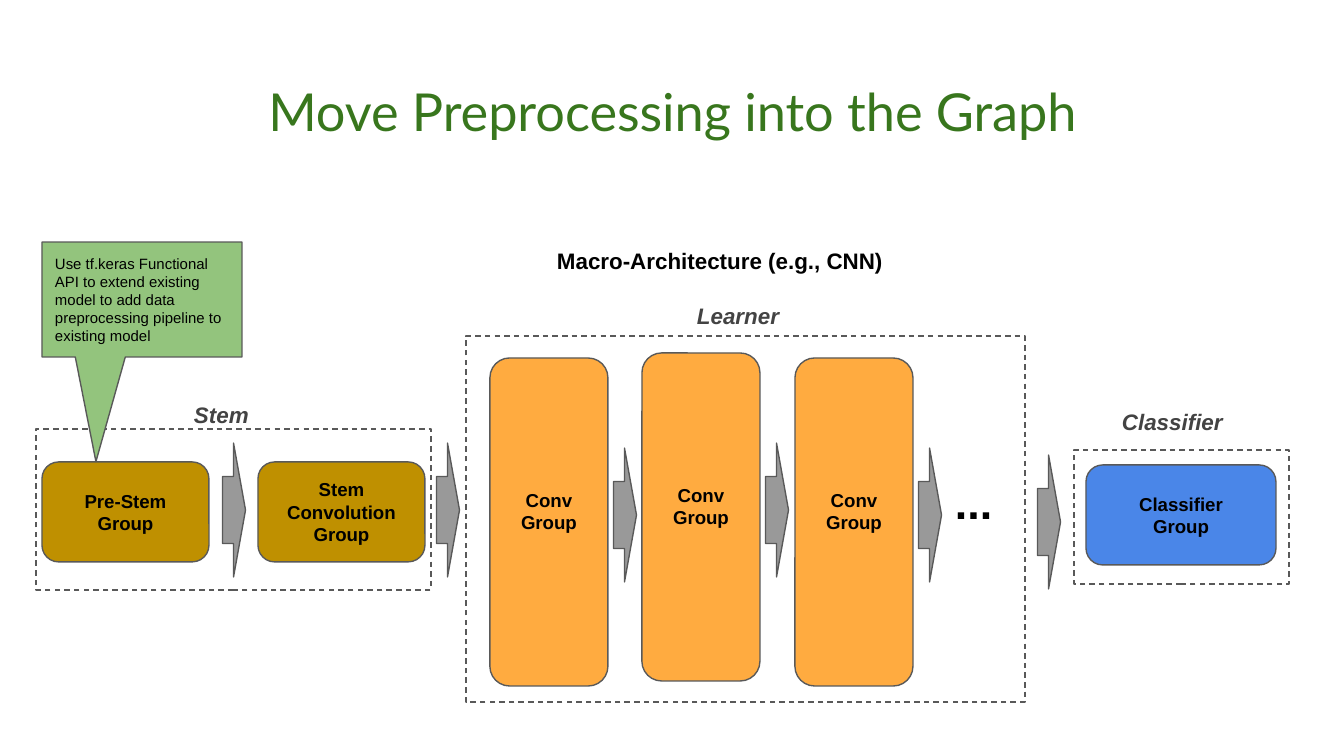
from pptx import Presentation
from pptx.dml.color import RGBColor
from pptx.enum.dml import MSO_LINE
from pptx.enum.shapes import MSO_SHAPE as Shape
from pptx.enum.text import MSO_ANCHOR as Anchor, PP_ALIGN as Align
from pptx.util import Emu, Pt

PX_PER_INCH = 134.4
INSET = 13

BLACK = RGBColor(0x00, 0x00, 0x00)
GRAY = RGBColor(0x43, 0x43, 0x43)
OUTLINE = RGBColor(0x59, 0x59, 0x59)
ARROW_GRAY = RGBColor(0x99, 0x99, 0x99)
TITLE_GREEN = RGBColor(0x38, 0x76, 0x1D)
NOTE_GREEN = RGBColor(0x93, 0xC4, 0x7D)
BROWN = RGBColor(0xBF, 0x90, 0x00)
ORANGE = RGBColor(0xFF, 0xAB, 0x40)
BLUE = RGBColor(0x4A, 0x86, 0xE8)


def px(length):
    return Emu(round(length * 914400 / PX_PER_INCH))


def write(shape, text, size, color=BLACK, bold=True, italic=False,
          align=Align.LEFT, anchor=Anchor.TOP, font="Arial", bottom=INSET):
    frame = shape.text_frame
    frame.word_wrap = True
    frame.vertical_anchor = anchor
    frame.margin_left = frame.margin_right = frame.margin_top = px(INSET)
    frame.margin_bottom = px(bottom)
    frame.text = text
    for paragraph in frame.paragraphs:
        paragraph.alignment = align
        for run in paragraph.runs:
            run.font.name = font
            run.font.size = Pt(size)
            run.font.bold = bold
            run.font.italic = italic
            run.font.color.rgb = color


def add_text(slide, box, text, size, **style):
    write(slide.shapes.add_textbox(*map(px, box)), text, size, **style)


def add_label(slide, box, text):
    add_text(slide, box, text, 12, color=GRAY, italic=True)


def add_outlined(slide, kind, box, fill=None):
    shape = slide.shapes.add_shape(kind, *map(px, box))
    shape.shadow.inherit = False
    shape.line.color.rgb = OUTLINE
    shape.line.width = Pt(0.75)
    if fill is None:
        shape.fill.background()
    else:
        shape.fill.solid()
        shape.fill.fore_color.rgb = fill
    return shape


def add_frame(slide, box):
    add_outlined(slide, Shape.RECTANGLE, box).line.dash_style = MSO_LINE.DASH


def add_group(slide, box, text, fill, bottom=INSET):
    shape = add_outlined(slide, Shape.ROUNDED_RECTANGLE, box, fill)
    write(shape, text, 10, align=Align.CENTER, anchor=Anchor.MIDDLE, bottom=bottom)


def add_arrow(slide, center_x, center_y):
    length, thickness = 134, 23
    box = (center_x - length / 2, center_y - thickness / 2, length, thickness)
    arrow = add_outlined(slide, Shape.DOWN_ARROW, box, ARROW_GRAY)
    arrow.adjustments[1] = 0.52
    arrow.rotation = 270


def add_heading(slide, left, top, width, height):
    add_text(slide, (left, top, width, height), "Move Preprocessing into the Graph", 28,
             color=TITLE_GREEN, bold=False, align=Align.CENTER, font="Lato")


def add_stem(slide, left, top, width, height):
    add_frame(slide, (left, top, width, height))
    add_label(slide, (left + 145, top - 41, 105, 55), "Stem")
    group_width, gap = 167, 49
    for index, text in enumerate(("Pre-Stem\vGroup", "Stem\vConvolution Group")):
        group_left = left + 6 + index * (group_width + gap)
        add_group(slide, (group_left, top + 33, group_width, 100), text, BROWN)
    for arrow_x in (198, 412):
        add_arrow(slide, left + arrow_x, top + 81)


def add_learner(slide, left, top, width, height):
    add_frame(slide, (left, top, width, height))
    add_label(slide, (left + 218, top - 47, 125, 55), "Learner")
    groups = (("Conv Group", 22), ("Conv Group", 17), ("Conv\nGroup", 22))
    for index, (text, offset) in enumerate(groups):
        group_left = left + 24 + index * 305 // 2
        group_top = top + offset
        add_group(slide, (group_left, group_top, 118, 328), text, ORANGE, bottom=35)
        add_arrow(slide, group_left + 135, group_top + 157)
    add_text(slide, (left + 476, top + 126, 105, 58), "...", 24)


def add_classifier(slide, left, top, width, height):
    add_arrow(slide, left - 25, top + 72)
    add_frame(slide, (left, top, width, height))
    add_label(slide, (left + 35, top - 55, 142, 55), "Classifier")
    add_group(slide, (left + 12, top + 15, 190, 100), "Classifier\vGroup", BLUE)


def add_callout(slide, left, top, width, height):
    callout = add_outlined(slide, Shape.ROUNDED_RECTANGULAR_CALLOUT,
                           (left, top, width, height), NOTE_GREEN)
    for index, value in enumerate((-0.23, 1.41, 0)):
        callout.adjustments[index] = value
    write(callout, "Use tf.keras Functional API to extend existing model to add data "
          "preprocessing pipeline to existing model", 8, bold=False, anchor=Anchor.MIDDLE)


def main():
    presentation = Presentation()
    presentation.slide_width = px(1344)
    presentation.slide_height = px(756)
    slide = presentation.slides.add_slide(presentation.slide_layouts[6])
    add_heading(slide, 46, 66, 1253, 85)
    add_text(slide, (544, 234, 516, 55), "Macro-Architecture (e.g., CNN)", 12)
    add_stem(slide, 36, 429, 395, 161)
    add_learner(slide, 466, 336, 559, 366)
    add_classifier(slide, 1074, 450, 215, 134)
    add_callout(slide, 42, 242, 200, 115)
    presentation.save("out.pptx")


if __name__ == "__main__":
    main()
